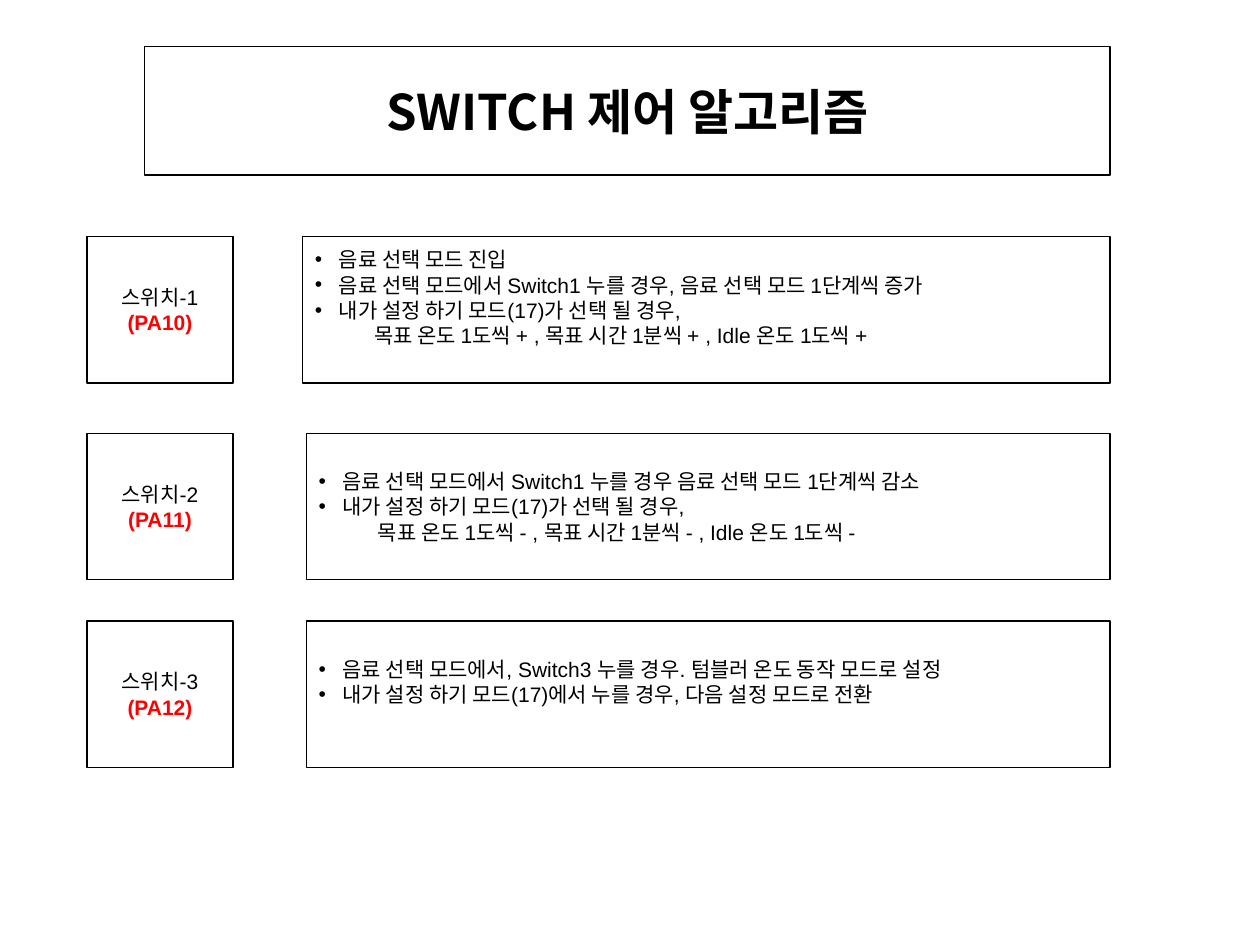
from lxml.etree import SubElement
from pptx import Presentation
from pptx.dml.color import RGBColor
from pptx.enum.shapes import MSO_SHAPE
from pptx.enum.text import MSO_ANCHOR, PP_ALIGN
from pptx.oxml.ns import qn
from pptx.util import Inches, Pt

COLOURS = {"ink": "000000", "pin": "FF0000"}
LATIN, KOREAN = "Arial", "Noto Sans CJK KR"
RIGHT_EDGE = 8.81
SWITCH_LEFT, SWITCH_SIZE = 0.69, 1.16
BULLET_INDENT, DETAIL_INDENT = 0.19, 0.47
LINE_HEIGHT = 0.2

# Each row: top, left of the action box, spare lines below, pin, actions, detail
SWITCHES = [
    (1.88, 2.4, 1, "PA10",
     ["음료 선택 모드 진입",
      "음료 선택 모드에서 Switch1 누를 경우, 음료 선택 모드 1단계씩 증가",
      "내가 설정 하기 모드(17)가 선택 될 경우,"],
     "목표 온도 1도씩 + , 목표 시간 1분씩 + , Idle 온도 1도씩 +"),
    (3.44, 2.43, 0, "PA11",
     ["음료 선택 모드에서 Switch1 누를 경우 음료 선택 모드 1단계씩 감소",
      "내가 설정 하기 모드(17)가 선택 될 경우,"],
     "목표 온도 1도씩 - , 목표 시간 1분씩 - , Idle 온도 1도씩 -"),
    (4.93, 2.43, 1, "PA12",
     ["음료 선택 모드에서, Switch3 누를 경우. 텀블러 온도 동작 모드로 설정",
      "내가 설정 하기 모드(17)에서 누를 경우, 다음 설정 모드로 전환"],
     None),
]


def add_box(page, left, top, width, height, spare_lines=0):
    """Add an outlined rectangle and return its empty text frame."""
    box = page.shapes.add_shape(MSO_SHAPE.RECTANGLE, Inches(left), Inches(top),
                                Inches(width), Inches(height))
    box.shadow.inherit = False
    box.fill.background()
    box.line.color.rgb = RGBColor.from_string(COLOURS["ink"])
    box.line.width = Pt(0.75)
    frame = box.text_frame
    frame.word_wrap = True
    frame.vertical_anchor = MSO_ANCHOR.MIDDLE
    frame.margin_bottom = Inches(0.05 + spare_lines * LINE_HEIGHT)
    return frame


def add_para(frame, text, size=12, font=LATIN, colour="ink", bold=False,
             align=PP_ALIGN.LEFT, indent=0, bullet=False):
    """Write one formatted paragraph, using the empty first one if there is one."""
    first = frame.paragraphs[0]
    para = first if not first.runs else frame.add_paragraph()
    para.alignment = align
    properties = para._p.get_or_add_pPr()
    properties.set("marL", str(Inches(indent)))
    if bullet:
        properties.set("indent", str(-Inches(indent)))
        SubElement(properties, qn("a:buFont"), typeface=LATIN)
        SubElement(properties, qn("a:buChar"), char="•")
    span = para.add_run()
    span.text = text
    span.font.size = Pt(size)
    span.font.bold = bold
    span.font.name = font
    span.font.color.rgb = RGBColor.from_string(COLOURS[colour])
    SubElement(span._r.get_or_add_rPr(), qn("a:ea"), typeface=KOREAN)


def add_title(page, text):
    """Add the framed heading."""
    left = 1.15
    frame = add_box(page, left, 0.37, RIGHT_EDGE - left, 1.02)
    add_para(frame, text, size=28, font=KOREAN, bold=True, align=PP_ALIGN.CENTER)


def add_switch(page, number, top, pin):
    """Add the square that names a switch and its pin."""
    frame = add_box(page, SWITCH_LEFT, top, SWITCH_SIZE, SWITCH_SIZE)
    add_para(frame, f"스위치-{number}", align=PP_ALIGN.CENTER)
    add_para(frame, f"({pin})", colour="pin", bold=True, align=PP_ALIGN.CENTER)


def add_actions(page, left, top, spare_lines, actions, detail):
    """Add the box that lists what a switch does."""
    frame = add_box(page, left, top, RIGHT_EDGE - left, SWITCH_SIZE, spare_lines)
    for action in actions:
        add_para(frame, action, indent=BULLET_INDENT, bullet=True)
    if detail:
        add_para(frame, detail, indent=DETAIL_INDENT)


def main():
    """Build the slide and save it."""
    deck = Presentation()
    deck.slide_width, deck.slide_height = Inches(10), Inches(7.5)
    page = deck.slides.add_slide(deck.slide_layouts[6])
    add_title(page, "SWITCH 제어 알고리즘")
    for number, (top, left, spare_lines, pin, actions, detail) in enumerate(SWITCHES, 1):
        add_switch(page, number, top, pin)
        add_actions(page, left, top, spare_lines, actions, detail)
    deck.save("out.pptx")


main()
